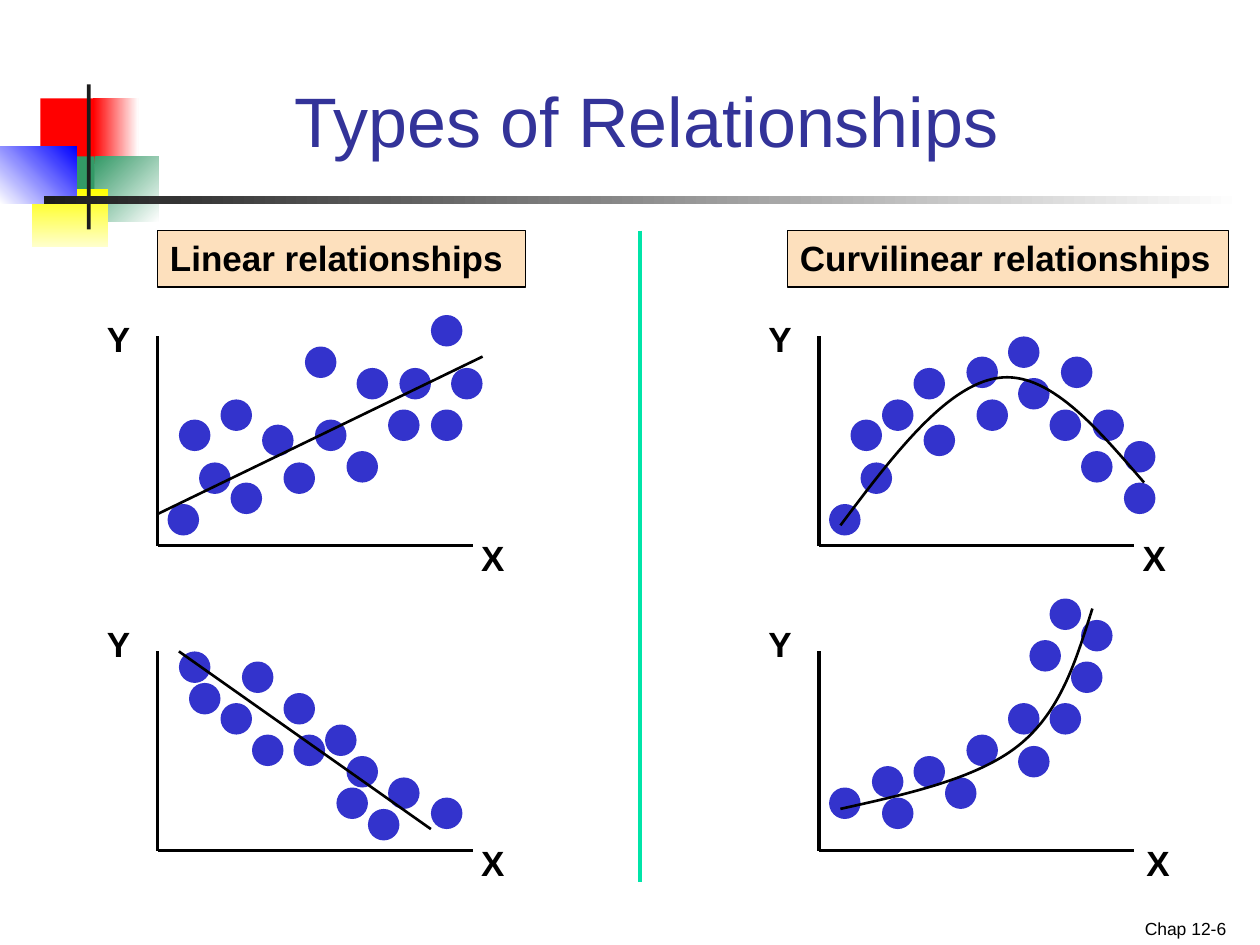
import pptx
import pptx.util
import pptx.dml.color
import pptx.enum.shapes
import pptx.enum.text
import pptx.oxml.ns
from lxml import etree
from pptx.util import Inches

COLORS = {
    "red": "FF0000", "green": "339966", "yellow": "FFFF00", "cream": "FFFFCC",
    "blue": "0000FF", "white": "FFFFFF", "charcoal": "1C1C1C", "black": "000000",
    "title": "333399", "dot": "3333CC", "peach": "FDE0BD", "mint": "00E4A8",
}
SHAPES = pptx.enum.shapes.MSO_SHAPE
ALIGN = pptx.enum.text.PP_ALIGN
ANCHOR = pptx.enum.text.MSO_ANCHOR
qn = pptx.oxml.ns.qn


def rgb(name):
    return pptx.dml.color.RGBColor.from_string(COLORS[name])


def write(box, text, size, color="black", bold=False, align=ALIGN.LEFT, anchor=ANCHOR.TOP, wrap=True):
    frame = box.text_frame
    frame.word_wrap = wrap
    frame.vertical_anchor = anchor
    frame.text = text
    para = frame.paragraphs[0]
    para.alignment = align
    span = para.runs[0]
    span.font.name = "Arial"
    span.font.size = pptx.util.Pt(size)
    span.font.bold = bold
    span.font.color.rgb = rgb(color)


deck = pptx.Presentation()
deck.slide_width = Inches(10)
deck.slide_height = Inches(7.5)
page = deck.slides.add_slide(deck.slide_layouts[6])
shapes = page.shapes

ornaments = [
    (0.32, 0.78, 0.48, 0.52, "red", None, 0),
    (0.74, 0.78, 0.36, 0.52, "red", "white", 0),
    (0.75, 1.24, 0.51, 0.52, "green", "white", 315),
    (0.43, 1.24, 0.32, 0.52, "green", None, 0),
    (0.25, 1.5, 0.61, 0.46, "yellow", "cream", 270),
    (0, 1.16, 0.61, 0.46, "white", "blue", 45),
    (0.69, 0.67, 0.03, 1.15, "charcoal", None, 0),
    (0.35, 1.56, 9.51, 0.06, "charcoal", "white", 0),
]
for left, top, width, height, start, end, angle in ornaments:
    block = shapes.add_shape(SHAPES.RECTANGLE, Inches(left), Inches(top), Inches(width), Inches(height))
    block.shadow.inherit = False
    block.line.fill.background()
    if end:
        block.fill.gradient()
        block.fill.gradient_angle = angle
        for stop, name in zip(block.fill.gradient_stops, (start, end)):
            stop.color.rgb = rgb(name)
    else:
        block.fill.solid()
        block.fill.fore_color.rgb = rgb(start)

footer = shapes.add_textbox(Inches(7.5), Inches(7.15), Inches(2.33), Inches(0.35))
write(footer, "Chap 12-6", 10, align=ALIGN.RIGHT, anchor=ANCHOR.BOTTOM)
title = shapes.add_textbox(Inches(1.26), Inches(0.25), Inches(7.74), Inches(1.08))
write(title, "Types of Relationships", 40, "title", align=ALIGN.CENTER, anchor=ANCHOR.BOTTOM)

rising = [(1.33, 4), (1.58, 3.67), (3.42, 2.5), (3.58, 2.92), (1.83, 3.83), (3.17, 2.92),
          (2.75, 3.58), (2.83, 2.92), (2.42, 2.75), (1.42, 3.33), (1.75, 3.17), (2.08, 3.37),
          (3.08, 3.25), (2.5, 3.33), (2.25, 3.67), (3.42, 3.25)]
falling = [(2.92, 6.42), (1.5, 5.42), (3.42, 6.33), (1.92, 5.25), (2.75, 6), (3.08, 6.17),
           (2.25, 5.5), (1.42, 5.17), (1.75, 5.58), (2, 5.83), (2.67, 6.25), (2.58, 5.75),
           (2.33, 5.83)]
arched = [(6.58, 4), (6.83, 3.67), (8.92, 3.5), (8.42, 2.83), (7.25, 2.92), (8.92, 3.83),
          (8.58, 3.58), (8.08, 3), (7.67, 2.83), (6.75, 3.33), (7, 3.17), (7.33, 3.37),
          (8.33, 3.25), (7.75, 3.17), (8, 2.67), (8.67, 3.25)]
accelerating = [(6.58, 6.25), (6.92, 6.08), (8.58, 4.92), (8.5, 5.25), (7, 6.33), (8.17, 5.08),
                (8.08, 5.92), (8, 5.58), (8.33, 4.75), (7.25, 6), (8.33, 5.58), (7.67, 5.83),
                (7.5, 6.17)]
plots = [
    (1.25, 2.67, 4.33, 3.72, rising),
    (1.25, 5.17, 6.75, 3.72, falling),
    (6.5, 2.67, 4.33, 8.97, arched),
    (6.5, 5.17, 6.75, 9, accelerating),
]

lines = [(5.08, 1.83, 5.08, 7, "mint", 2.25),
         (1.25, 4.08, 3.83, 2.83, "black", 1.5),
         (1.42, 5.17, 3.42, 6.58, "black", 1.5)]
axes = []
for origin, top, base, x_label, dots in plots:
    axes.append((origin, top, origin, base, "black", 2))
    axes.append((origin, base, origin + 2.5, base, "black", 2))
    for dot_left, dot_top in dots:
        dot = shapes.add_shape(SHAPES.OVAL, Inches(dot_left), Inches(dot_top), Inches(0.25), Inches(0.25))
        dot.shadow.inherit = False
        dot.fill.solid()
        dot.fill.fore_color.rgb = rgb("dot")
        dot.line.fill.background()
    for letter, left, label_top in (("Y", origin - 0.5, base - 1.86), ("X", x_label, base - 0.12)):
        label = shapes.add_textbox(Inches(left), Inches(label_top), Inches(0.39), Inches(0.43))
        write(label, letter, 20, bold=True, wrap=False)

for left, width, heading in ((1.25, 2.92, "Linear relationships"), (6.25, 3.5, "Curvilinear relationships")):
    banner = shapes.add_shape(SHAPES.RECTANGLE, Inches(left), Inches(1.83), Inches(width), Inches(0.45))
    banner.shadow.inherit = False
    banner.fill.solid()
    banner.fill.fore_color.rgb = rgb("peach")
    banner.line.color.rgb = rgb("black")
    banner.line.width = pptx.util.Pt(1)
    write(banner, heading, 20, bold=True)

for x1, y1, x2, y2, color, weight in axes + lines:
    line = shapes.add_connector(pptx.enum.shapes.MSO_CONNECTOR.STRAIGHT,
                                Inches(x1), Inches(y1), Inches(x2), Inches(y2))
    line.line.color.rgb = rgb(color)
    line.line.width = pptx.util.Pt(weight)
    etree.SubElement(line._element.spPr, qn("a:effectLst"))

curves = [
    [(6.67, 4.17), (7.09, 3.61), (7.51, 3.06), (7.92, 3), (8.32, 2.94), (8.7, 3.39), (9.08, 3.83)],
    [(6.67, 6.42), (7.21, 6.3), (7.75, 6.18), (8.08, 5.92), (8.42, 5.65), (8.54, 5.24), (8.67, 4.83)],
]
for points in curves:
    start, *controls = [(Inches(x), Inches(y)) for x, y in points]
    builder = shapes.build_freeform(*start)
    builder.add_line_segments(controls, close=False)
    curve = builder.convert_to_shape()
    curve.shadow.inherit = False
    curve.fill.background()
    curve.line.color.rgb = rgb("black")
    curve.line.width = pptx.util.Pt(1.5)
    outline = curve._element.find(".//" + qn("a:path"))
    segments = outline.findall(qn("a:lnTo"))
    for first in range(0, len(segments), 3):
        bend = etree.SubElement(outline, qn("a:cubicBezTo"))
        for segment in segments[first:first + 3]:
            bend.append(segment[0])
            outline.remove(segment)

deck.save("out.pptx")
